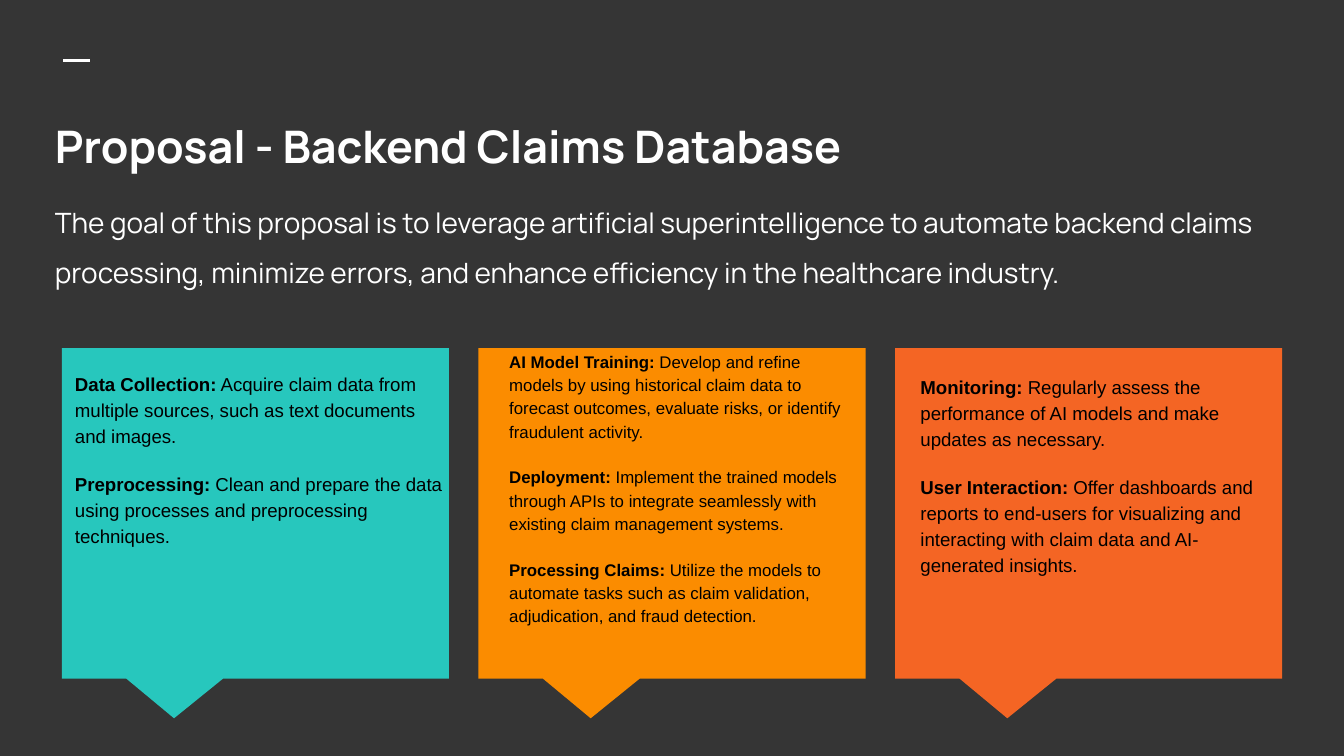
from dataclasses import dataclass

from lxml import etree
from pptx import Presentation
from pptx.dml.color import RGBColor
from pptx.enum.shapes import MSO_CONNECTOR, MSO_SHAPE
from pptx.oxml.ns import qn
from pptx.util import Inches, Pt

CALLOUT = MSO_SHAPE.RECTANGULAR_CALLOUT
STRAIGHT = MSO_CONNECTOR.STRAIGHT

COLORS = {
    "background": "353535",
    "light": "FFFFFF",
    "dark": "000000",
    "teal": "27C7BD",
    "amber": "FB8C00",
    "orange": "F46524",
}
HEADING_FONT, BODY_FONT = "Manrope", "Arial"

# Widescreen slide, 16:9
SLIDE_WIDTH = Inches(10)
SLIDE_HEIGHT = SLIDE_WIDTH * 9 // 16

# Card grid: one row of three equal columns
CARD_LEFT, CARD_TOP = Inches(0.46), Inches(2.59)
CARD_WIDTH, CARD_HEIGHT = Inches(2.88), Inches(2.46)
CARD_GAP = Inches(0.22)
CARD_PITCH = CARD_WIDTH + CARD_GAP
POINTER = (-0.21, 0.62)
LEADING = 1.39  # line height per point of body text


@dataclass
class Step:
    label: str
    detail: str


@dataclass
class Card:
    color: str
    text_dx: float  # text offset from the card's corner, inches
    text_dy: float
    text_width: float
    text_height: float
    size: float
    steps: list[Step]


CARDS = [
    Card("teal", 0, 0.06, 2.97, 2.24, 10, [
        Step("Data Collection:", "Acquire claim data from multiple sources, "
             "such as text documents and images."),
        Step("Preprocessing:", "Clean and prepare the data using processes "
             "and preprocessing techniques."),
    ]),
    Card("amber", 0.13, -0.1, 2.71, 2.57, 9, [
        Step("AI Model Training:", "Develop and refine models by using "
             "historical claim data to forecast outcomes, evaluate risks, "
             "or identify fraudulent activity."),
        Step("Deployment:", "Implement the trained models through APIs to "
             "integrate seamlessly with existing claim management systems."),
        Step("Processing Claims:", "Utilize the models to automate tasks such "
             "as claim validation, adjudication, and fraud detection."),
    ]),
    Card("orange", 0.09, 0.08, 2.71, 2.19, 10, [
        Step("Monitoring:", "Regularly assess the performance of AI models "
             "and make updates as necessary."),
        Step("User Interaction:", "Offer dashboards and reports to end-users "
             "for visualizing and interacting with claim data and "
             "AI-generated insights."),
    ]),
]


def rgb(name: str) -> RGBColor:
    return RGBColor.from_string(COLORS[name])


def add_text_frame(slide, left: int, top: int, width: int, height: int):
    frame = slide.shapes.add_textbox(left, top, width, height).text_frame
    frame.word_wrap = True
    frame.margin_left = frame.margin_right = Inches(0.1)
    frame.margin_top = frame.margin_bottom = Inches(0.1)
    return frame


def style_run(run, font: str, size: float, color: str, bold: bool) -> None:
    run.font.name = font
    run.font.size = Pt(size)
    run.font.bold = bold
    run.font.color.rgb = rgb(color)


def draw_accent(slide) -> None:
    y = Inches(0.45)
    accent = slide.shapes.add_connector(STRAIGHT, Inches(0.47), y, Inches(0.67), y)
    accent.line.color.rgb = rgb("light")
    accent.line.width = Pt(1.5)
    etree.SubElement(accent._element.spPr, qn("a:effectLst"))


def draw_heading(slide) -> None:
    frame = add_text_frame(slide, Inches(0.31), Inches(0.78),
                           Inches(9.51), Inches(1.23))
    title = frame.paragraphs[0]
    title.text = "Proposal - Backend Claims Database"
    style_run(title.runs[0], HEADING_FONT, 24, "light", True)

    goal = frame.add_paragraph()
    goal.text = ("The goal of this proposal is to leverage artificial "
                 "superintelligence to automate backend claims processing, "
                 "minimize errors, and enhance efficiency in the healthcare "
                 "industry.")
    goal.space_before = Pt(9.2)
    goal.line_spacing = Pt(26.8)
    style_run(goal.runs[0], HEADING_FONT, 15, "light", False)


def draw_card(slide, column: int, card: Card) -> None:
    left = CARD_LEFT + column * CARD_PITCH
    callout = slide.shapes.add_shape(CALLOUT, left, CARD_TOP,
                                     CARD_WIDTH, CARD_HEIGHT)
    callout.adjustments[0], callout.adjustments[1] = POINTER
    callout.shadow.inherit = False
    callout.fill.solid()
    callout.fill.fore_color.rgb = rgb(card.color)
    callout.line.fill.background()

    frame = add_text_frame(slide, left + Inches(card.text_dx),
                           CARD_TOP + Inches(card.text_dy),
                           Inches(card.text_width), Inches(card.text_height))
    for index, step in enumerate(card.steps):
        paragraph = frame.add_paragraph() if index else frame.paragraphs[0]
        paragraph.space_before = Pt(12 if index else 0)
        paragraph.line_spacing = Pt(round(card.size * LEADING, 1))
        for text, bold in ((step.label, True), (f" {step.detail}", False)):
            run = paragraph.add_run()
            run.text = text
            style_run(run, BODY_FONT, card.size, "dark", bold)


def main() -> None:
    deck = Presentation()
    deck.slide_width, deck.slide_height = SLIDE_WIDTH, SLIDE_HEIGHT
    slide = deck.slides.add_slide(deck.slide_layouts[6])
    slide.background.fill.solid()
    slide.background.fill.fore_color.rgb = rgb("background")

    draw_accent(slide)
    draw_heading(slide)
    for column, card in enumerate(CARDS):
        draw_card(slide, column, card)

    deck.save("out.pptx")


if __name__ == "__main__":
    main()
